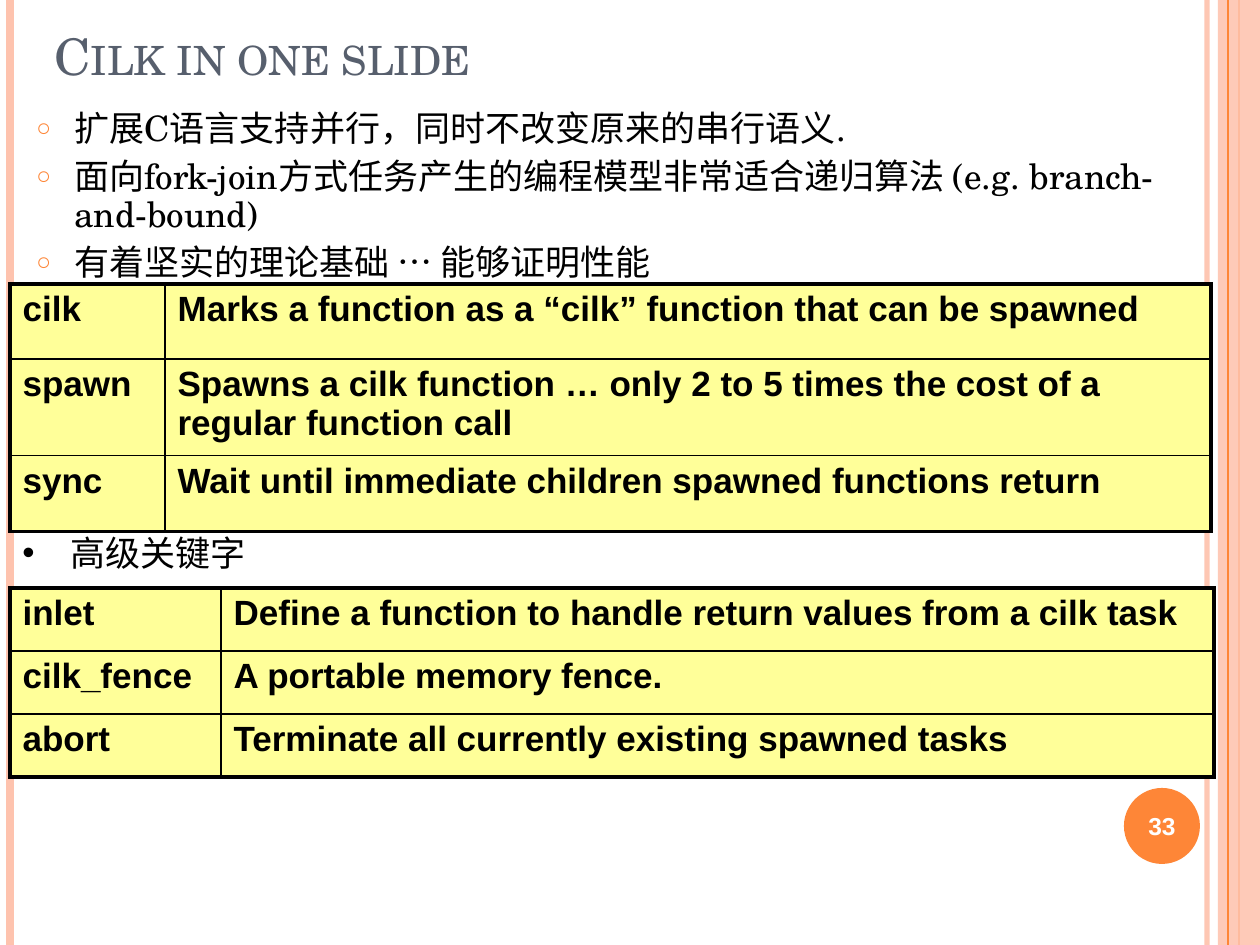
"""Build the one-slide overview of the Cilk language."""
from dataclasses import dataclass

from lxml import etree
from pptx import Presentation, util as u
from pptx.dml.color import RGBColor
from pptx.enum import shapes, text
from pptx.oxml import ns

SCALE = 914400 / 126
WIDTH, HEIGHT = 1260, 945


@dataclass(frozen=True)
class Theme:
    orange: str = "FE8637"
    peach: str = "FEC3AE"
    slate: str = "575F6D"
    yellow: str = "FFFF99"
    black: str = "000000"
    white: str = "FFFFFF"
    serif: str = "TeX Gyre Schola"
    sans: str = "Arial"
    title: float = 28.8
    body: float = 20
    number: float = 14
    outer: float = 2.25
    inner: float = 1


THEME = Theme()

TITLE = "Cilk in one slide"
POINTS = [
    "扩展C语言支持并行，同时不改变原来的串行语义.",
    "面向fork-join方式任务产生的编程模型非常适合递归算法 (e.g. branch-and-bound)",
    "有着坚实的理论基础 … 能够证明性能",
]
SUBHEAD = "高级关键字"
NUMBER = "33"
TABLES = [
    dict(place=(10, 284), columns=(155, 1046), heights=(75, 90, 76), rows=[
        ("cilk", "Marks a function as a “cilk” function that can be spawned"),
        ("spawn", "Spawns a cilk function … only 2 to 5 times the cost of a regular function call"),
        ("sync", "Wait until immediate children spawned functions return"),
    ]),
    dict(place=(10, 588), columns=(211, 993), heights=(63, 63, 63), rows=[
        ("inlet", "Define a function to handle return values from a cilk task"),
        ("cilk_fence", "A portable memory fence."),
        ("abort", "Terminate all currently existing spawned tasks"),
    ]),
]
BACK_RULES = [(1207, THEME.peach, 3, 93), (10, THEME.peach, 4.5, 100), (1239, THEME.orange, 1.5, 100)]
FRONT_RULE = (1228, THEME.orange, 0.75, 100)
BAND = (1218, 0, 42, HEIGHT)
BADGE = (1124, 788, 76, 76)


def px(value):
    return u.Emu(round(value * SCALE))


def rgb(value):
    return RGBColor.from_string(value)


def add(parent, tag, **attributes):
    return etree.SubElement(parent, ns.qn(tag), attributes)


def set_alpha(element, percent):
    if percent < 100:
        add(next(element.iter(ns.qn("a:srgbClr"))), "a:alpha", val=str(percent * 1000))


def add_rule(page, x, color, width, alpha):
    rule = page.shapes.add_connector(shapes.MSO_CONNECTOR.STRAIGHT, px(x), 0, px(x), px(HEIGHT))
    rule.line.color.rgb = rgb(color)
    rule.line.width = u.Pt(width)
    properties = rule._element.spPr
    set_alpha(properties, alpha)
    add(properties, "a:effectLst")


def add_shape(page, kind, place, color, alpha=100):
    shape = page.shapes.add_shape(kind, *map(px, place))
    shape.shadow.inherit = False
    shape.fill.solid()
    shape.fill.fore_color.rgb = rgb(color)
    shape.line.fill.background()
    set_alpha(shape._element.spPr, alpha)


def add_bullet(para, mark, indent, color=None, percent=100):
    properties = para._p.get_or_add_pPr()
    properties.set("marL", str(px(indent)))
    properties.set("indent", str(-px(indent)))
    if color:
        add(add(properties, "a:buClr"), "a:srgbClr", val=color)
    add(properties, "a:buSzPct", val=str(percent * 1000))
    add(properties, "a:buFont", typeface=THEME.sans)
    add(properties, "a:buChar", char=mark)


def write(frame, lines, font=THEME.sans, size=THEME.body, color=THEME.black, bold=False,
          align=None, anchor=text.MSO_ANCHOR.TOP, before=0, spacing=None, bullet=None, caps=False):
    frame.word_wrap = True
    frame.vertical_anchor = anchor
    for index, line in enumerate(lines):
        para = frame.add_paragraph() if index else frame.paragraphs[0]
        para.alignment = align
        if spacing:
            para.line_spacing = spacing
        if index:
            para.space_before = u.Pt(before)
        if bullet:
            add_bullet(para, **bullet)
        span = para.add_run()
        span.text = line
        span.font.name, span.font.size, span.font.bold = font, u.Pt(size), bold
        span.font.color.rgb = rgb(color)
        if caps:
            span._r.get_or_add_rPr().set("cap", "small")


def add_text(page, place, lines, **style):
    box = page.shapes.add_textbox(*map(px, place))
    write(box.text_frame, lines, **style)


def add_borders(cell, edges):
    properties = cell._tc.get_or_add_tcPr()
    for index, (side, outside) in enumerate(edges):
        width = THEME.outer if outside else THEME.inner
        line = etree.Element(ns.qn(f"a:ln{side}"), w=str(u.Pt(width)))
        add(add(line, "a:solidFill"), "a:srgbClr", val=THEME.black)
        properties.insert(index, line)


def add_keywords(page, place, columns, heights, rows):
    size = (sum(columns), sum(heights))
    table = page.shapes.add_table(len(rows), len(columns), *map(px, place + size)).table
    for column, width in zip(table.columns, columns):
        column.width = px(width)
    for r, (words, height) in enumerate(zip(rows, heights)):
        table.rows[r].height = px(height)
        for c, word in enumerate(words):
            cell = table.cell(r, c)
            cell.fill.solid()
            cell.fill.fore_color.rgb = rgb(THEME.yellow)
            write(cell.text_frame, [word], bold=True)
            add_borders(cell, [("L", c == 0), ("R", c == len(columns) - 1),
                               ("T", r == 0), ("B", r == len(rows) - 1)])


def main():
    deck = Presentation()
    deck.slide_width, deck.slide_height = px(WIDTH), px(HEIGHT)
    page = deck.slides.add_slide(deck.slide_layouts[6])
    for rule in BACK_RULES:
        add_rule(page, *rule)
    add_shape(page, shapes.MSO_SHAPE.RECTANGLE, BAND, THEME.peach, alpha=87)
    add_rule(page, *FRONT_RULE)
    add_shape(page, shapes.MSO_SHAPE.OVAL, BADGE, THEME.orange)
    add_text(page, (1120, 790, 84, 72), [NUMBER], size=THEME.number, color=THEME.white, bold=True,
             align=text.PP_ALIGN.CENTER, anchor=text.MSO_ANCHOR.MIDDLE)
    add_text(page, (42, 38, 1176, 54), [TITLE], font=THEME.serif, size=THEME.title,
             color=THEME.slate, anchor=text.MSO_ANCHOR.BOTTOM, caps=True)
    add_text(page, (24, 105, 1192, 217), POINTS, font=THEME.serif, before=6, spacing=0.9,
             bullet=dict(mark="○", indent=38, color=THEME.orange, percent=70))
    add_text(page, (10, 525, 1144, 88), [SUBHEAD], bullet=dict(mark="•", indent=48))
    for table in TABLES:
        add_keywords(page, **table)
    deck.save("out.pptx")


if __name__ == "__main__":
    main()
